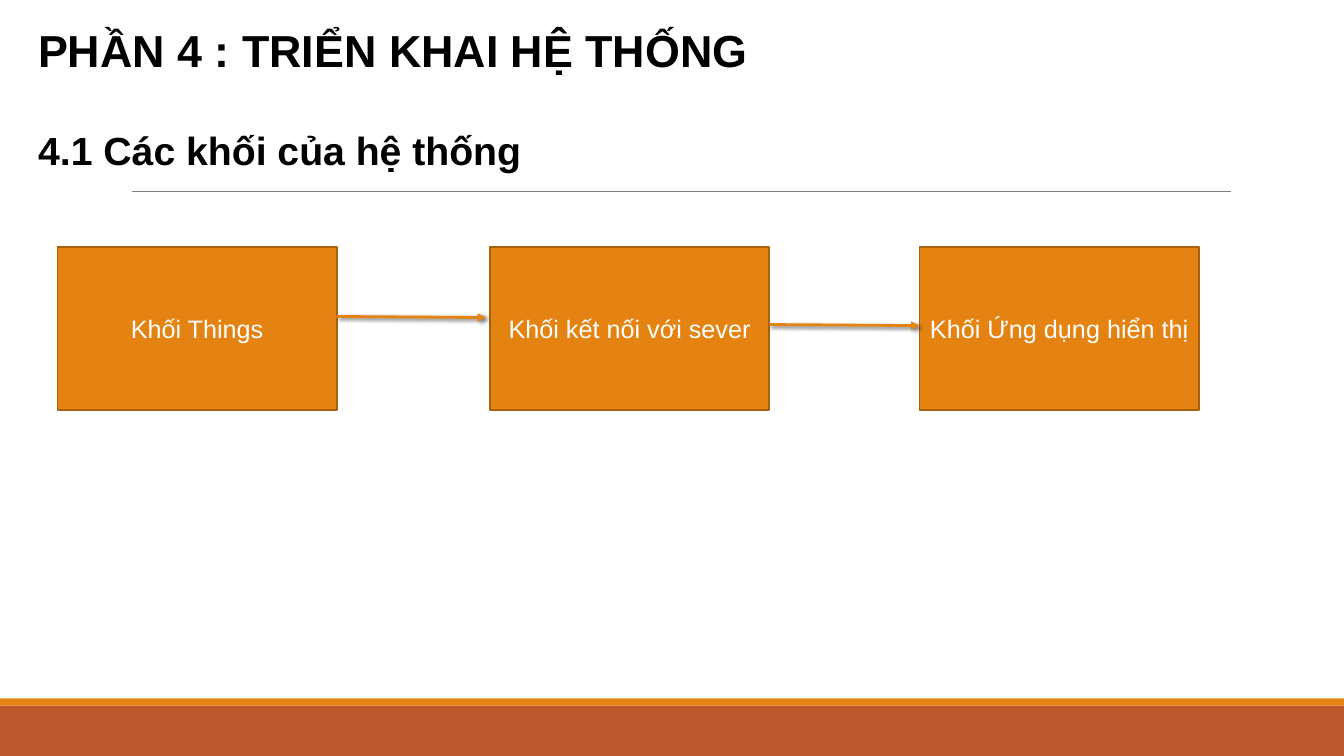
from lxml import etree
from pptx import Presentation
from pptx.dml.color import RGBColor
from pptx.enum.shapes import MSO_CONNECTOR, MSO_SHAPE
from pptx.enum.text import MSO_ANCHOR, MSO_AUTO_SIZE, PP_ALIGN
from pptx.oxml import parse_xml
from pptx.oxml.ns import qn
from pptx.util import Inches, Pt

RECT = MSO_SHAPE.RECTANGLE
STRAIGHT = MSO_CONNECTOR.STRAIGHT
MIDDLE = MSO_ANCHOR.MIDDLE
FIT_SHAPE = MSO_AUTO_SIZE.SHAPE_TO_FIT_TEXT
CENTER = PP_ALIGN.CENTER

FONT = "Arial"
COLORS = {
    "orange": "E48312",
    "outline": "A9610D",
    "rust": "BD582C",
    "rule": "808080",
    "black": "000000",
    "white": "FFFFFF",
}
SLIDE_W, SLIDE_H = 13.33, 7.5
BANDS = [(7, 0.5, "rust"), (6.93, 0.07, "orange")]
HEADINGS = [
    ("PHẦN 4 : TRIỂN KHAI HỆ THỐNG", 0.18, 8.72, 0.64, 32),
    ("4.1 Các khối của hệ thống", 1.2, 5.01, 0.57, 28),
]
BLOCKS = [
    ("Khối Things", 0.57),
    ("Khối kết nối với sever", 4.86),
    ("Khối Ứng dụng hiển thị", 9.12),
]
BLOCK_TOP, BLOCK_W, BLOCK_H = 2.45, 2.77, 1.62
ARROWS = [(3.14, 0.04), (3.22, 0)]
ARROW_DROP = 0.01
SHADOW = (
    '<a:effectLst xmlns:a="http://schemas.openxmlformats.org/drawingml/2006/main">'
    '<a:outerShdw blurRad="38100" dist="25400" dir="2700000" rotWithShape="0">'
    '<a:srgbClr val="000000"><a:alpha val="60000"/></a:srgbClr>'
    "</a:outerShdw></a:effectLst>"
)


def rgb(name):
    return RGBColor.from_string(COLORS[name])


def add_rect(s, left, top, width, height, fill, line=None):
    sp = s.shapes.add_shape(RECT, Inches(left), Inches(top), Inches(width), Inches(height))
    sp.shadow.inherit = False
    sp.fill.solid()
    sp.fill.fore_color.rgb = rgb(fill)
    if line:
        sp.line.color.rgb = rgb(line)
        sp.line.width = Pt(1.25)
    else:
        sp.line.fill.background()
    return sp


def set_text(tf, text, size, color, bold=False):
    p = tf.paragraphs[0]
    p.text = text
    p.font.name = FONT
    p.font.size = Pt(size)
    p.font.bold = bold
    p.font.color.rgb = rgb(color)
    return p


def add_line(s, x1, y1, x2, y2, color, width):
    cxn = s.shapes.add_connector(STRAIGHT, Inches(x1), Inches(y1), Inches(x2), Inches(y2))
    cxn.line.color.rgb = rgb(color)
    cxn.line.width = Pt(width)
    return cxn


def add_arrow(s, x1, y1, x2, y2):
    cxn = add_line(s, x1, y1, x2, y2, "orange", 2)
    etree.SubElement(cxn.line._get_or_add_ln(), qn("a:tailEnd"), type="triangle")
    cxn._element.spPr.append(parse_xml(SHADOW))


def main():
    prs = Presentation()
    prs.slide_width, prs.slide_height = Inches(SLIDE_W), Inches(SLIDE_H)
    s = prs.slides.add_slide(prs.slide_layouts[6])

    for top, height, fill in BANDS:
        add_rect(s, 0, top, SLIDE_W, height, fill)
    rule = add_line(s, 1.31, 1.9, 12.21, 1.9, "rule", 0.5)
    etree.SubElement(rule._element.spPr, qn("a:effectLst"))

    for text, top, width, height, size in HEADINGS:
        tf = s.shapes.add_textbox(Inches(0.28), Inches(top), Inches(width), Inches(height)).text_frame
        tf.word_wrap = True
        tf.auto_size = FIT_SHAPE
        set_text(tf, text, size, "black", bold=True)

    for text, left in BLOCKS:
        tf = add_rect(s, left, BLOCK_TOP, BLOCK_W, BLOCK_H, "orange", "outline").text_frame
        tf.word_wrap = True
        tf.vertical_anchor = MIDDLE
        set_text(tf, text, 18, "white").alignment = CENTER

    for (_, left), (_, next_left), (y, gap) in zip(BLOCKS, BLOCKS[1:], ARROWS):
        add_arrow(s, left + BLOCK_W, y, next_left - gap, y + ARROW_DROP)

    prs.save("out.pptx")


if __name__ == "__main__":
    main()
